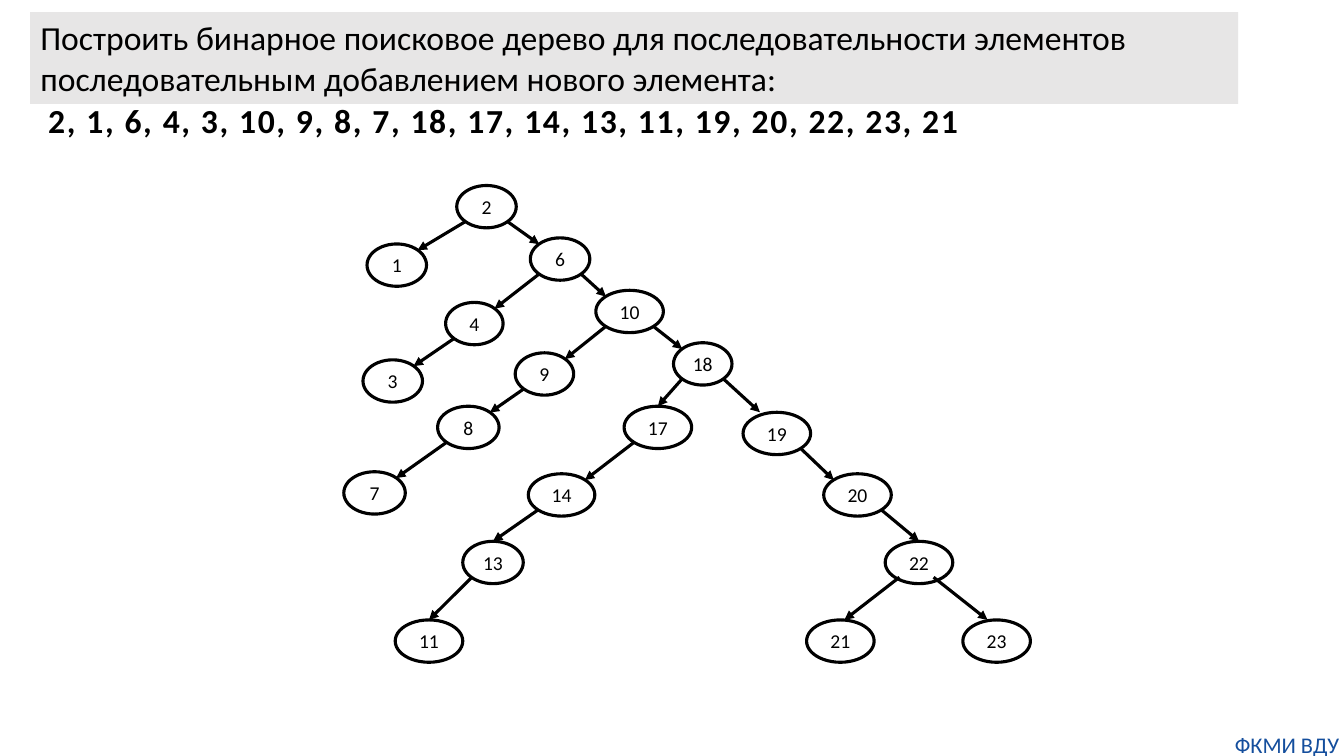
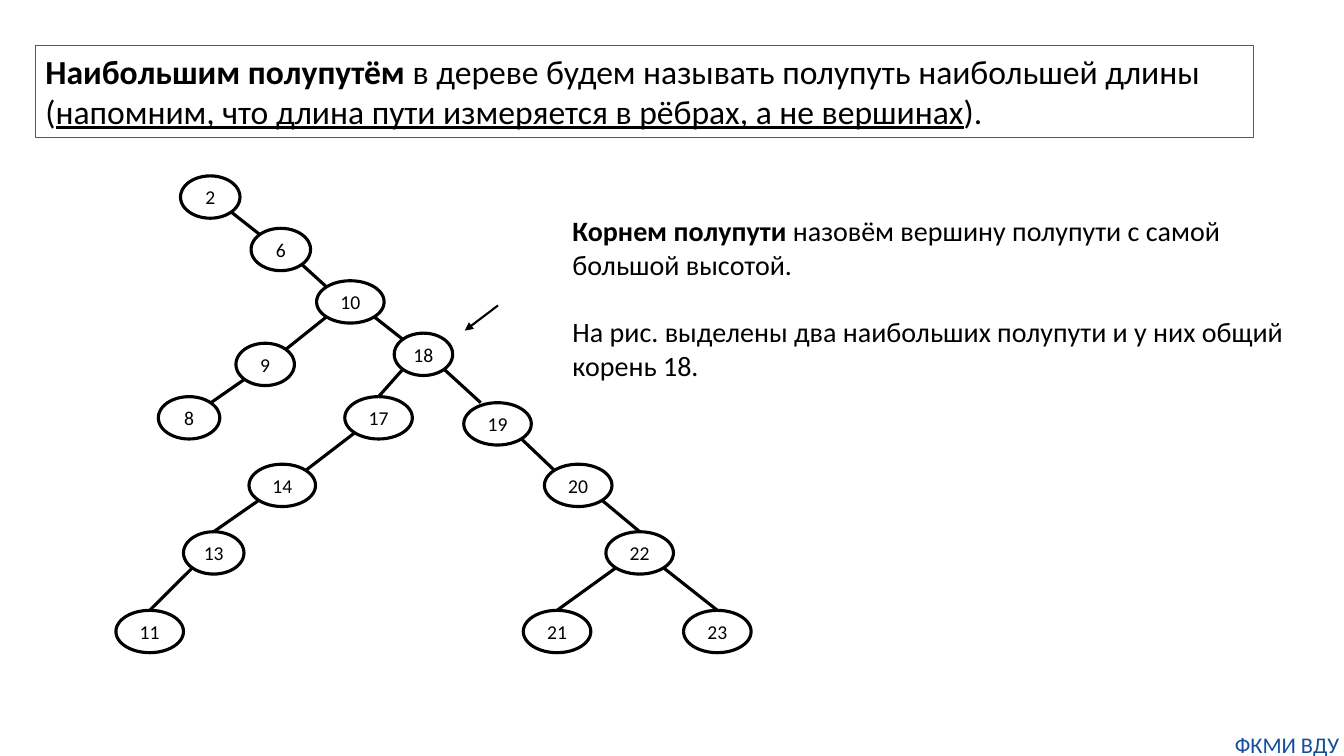
from lxml import etree
from pptx import Presentation
from pptx.dml.color import RGBColor
from pptx.enum.shapes import MSO_CONNECTOR, MSO_SHAPE
from pptx.enum.text import MSO_ANCHOR, MSO_AUTO_SIZE, PP_ALIGN
from pptx.oxml.ns import qn
from pptx.util import Inches, Pt

COLORS = {"ink": "000000", "band": "E7E6E6", "frame": "0070C0", "footer": "144E9D"}
FONT = "Calibri"
TITLE_ONLY = 5

deck = Presentation()
deck.slide_width, deck.slide_height = Inches(13.33), Inches(7.5)
CELL = deck.slide_height / 75  # the grid has 75 rows of square cells


def cells(*counts):
    return [round(count * CELL) for count in counts]


NODE_HEIGHT = 4.2
# Shares of a node's box where its incoming edge lands; "near" and "far" are
# measured from the side that faces the parent.
CORNER, TOP, QUARTER = (0.15, 0.15), (0.5, 0), (0.25, 0)

# key: (parent, left, top, width, landing), in order of insertion
TREE = {
    2: (None, 45.3, 18.4, 5.9, None),
    1: (2, 36.4, 24.2, 5.9, CORNER),
    6: (2, 52.6, 23.6, 5.9, CORNER),
    4: (6, 44.2, 30, 5.7, CORNER),
    3: (4, 36, 35.7, 5.9, CORNER),
    10: (6, 59.1, 28.8, 6.7, CORNER),
    9: (10, 51.1, 35, 5.8, CORNER),
    8: (9, 43.4, 40.3, 6.1, CORNER),
    7: (8, 34.1, 46.8, 6.1, CORNER),
    18: (10, 66.8, 34, 5.8, CORNER),
    17: (18, 61.9, 40.3, 6.7, TOP),
    14: (17, 52.4, 47, 6.6, CORNER),
    13: (14, 45.9, 53.7, 6, TOP),
    11: (13, 39.2, 61.5, 6.7, TOP),
    19: (18, 73.7, 40.9, 6.7, QUARTER),
    20: (19, 81.7, 47, 6.7, CORNER),
    22: (20, 87.8, 53.7, 6.7, TOP),
    23: (22, 95.5, 61.5, 6.7, TOP),
    21: (22, 80, 61.5, 6.7, TOP),
}

PAGES = [
    {
        "title": [("Построить бинарное поисковое дерево для последовательности элементов "
                   "последовательным добавлением нового элемента:", {})],
        "title_at": (3, 1.2, 119.8, 9.1), "fill": "band", "line": None,
        "shift": (0, 0), "skip": (), "arrows": True,
        "node_nudge": {}, "edge_nudge": {21: 0.4, 23: -0.9},
    },
    {
        "title": [("Наибольшим полупутём ", {"bold": True}),
                  ("в дереве будем называть полупуть наибольшей длины (", {}),
                  ("напомним, что длина пути измеряется в рёбрах, а не вершинах",
                   {"underline": True}),
                  (").", {})],
        "title_at": (3.5, 4.5, 120.8, 9.1), "fill": None, "line": "frame",
        "shift": (-27.7, -0.95), "skip": (1, 3, 4, 7), "arrows": False,
        "node_nudge": {2: 0.3, 21: -0.4}, "edge_nudge": {},
    },
]


def write(frame, paragraphs, size, color="ink", align=PP_ALIGN.LEFT, gap=0):
    """Fill a text frame with paragraphs given as lists of (text, font style)."""
    for number, spans in enumerate(paragraphs):
        para = frame.add_paragraph() if number else frame.paragraphs[0]
        para.alignment = align
        para.space_before = Pt(gap if number else 0)
        for text, style in spans:
            span = para.add_run()
            span.text = text
            span.font.name, span.font.size = FONT, Pt(size)
            span.font.color.rgb = RGBColor.from_string(COLORS[color])
            span.font.bold = style.get("bold", False)
            span.font.underline = style.get("underline", False)


def connect(page, start, end, width, arrow):
    edge = page.shapes.add_connector(MSO_CONNECTOR.STRAIGHT, *cells(*start, *end))
    edge.line.width = Pt(width)
    edge.line.color.rgb = RGBColor.from_string(COLORS["ink"])
    if arrow:
        etree.SubElement(edge.line._get_or_add_ln(), qn("a:tailEnd"), type="triangle")
    etree.SubElement(edge._element.spPr, qn("a:effectLst"))


for plan in PAGES:
    page = deck.slides.add_slide(deck.slide_layouts[TITLE_ONLY])

    title = page.shapes.title
    title.left, title.top, title.width, title.height = cells(*plan["title_at"])
    title.text_frame.auto_size = MSO_AUTO_SIZE.NONE
    title.text_frame.vertical_anchor = MSO_ANCHOR.TOP
    write(title.text_frame, [plan["title"]], 24)
    if plan["fill"]:
        title.fill.solid()
        title.fill.fore_color.rgb = RGBColor.from_string(COLORS[plan["fill"]])
    if plan["line"]:
        title.line.color.rgb = RGBColor.from_string(COLORS[plan["line"]])
        title.line.width = Pt(0.75)

    # Nodes
    places = {}
    for key, (parent, left, top, width, landing) in TREE.items():
        if key in plan["skip"]:
            continue
        left += plan["shift"][0] + plan["node_nudge"].get(key, 0)
        top += plan["shift"][1]
        places[key] = left, top, width
        node = page.shapes.add_shape(MSO_SHAPE.OVAL, *cells(left, top, width, NODE_HEIGHT))
        node.shadow.inherit = False
        node.fill.background()
        node.line.color.rgb = RGBColor.from_string(COLORS["ink"])
        node.line.width = Pt(2.25)
        frame = node.text_frame
        frame.word_wrap = False
        frame.vertical_anchor = MSO_ANCHOR.MIDDLE
        frame.margin_left = frame.margin_right = frame.margin_top = frame.margin_bottom = 0
        write(frame, [[(str(key), {})]], 14, align=PP_ALIGN.CENTER)

    # Edges: smaller keys hang on the left, larger ones on the right
    for key, (left, top, width) in places.items():
        parent, landing = TREE[key][0], TREE[key][4]
        if parent is None:
            continue
        parent_left, parent_top, parent_width = places[parent]
        is_right = key > parent
        exit_share = 0.85 if is_right else 0.15
        entry_share = landing[0] if is_right else 1 - landing[0]
        nudge = plan["edge_nudge"].get(key, 0)
        start = parent_left + exit_share * parent_width + nudge, parent_top + 0.85 * NODE_HEIGHT
        end = left + entry_share * width + nudge, top + landing[1] * NODE_HEIGHT
        connect(page, start, end, 2.25, plan["arrows"])

    footer = page.shapes.add_textbox(*cells(122, 72.5, 11.3, 2.7)).text_frame
    footer.margin_left = footer.margin_right = footer.margin_top = footer.margin_bottom = 0
    footer.word_wrap = True
    write(footer, [[("ФКМИ ВДУ", {})]], 16, "footer", PP_ALIGN.CENTER)

building, longest = deck.slides

sequence = building.shapes.add_textbox(*cells(3.8, 9.4, 93.1, 5)).text_frame
sequence.word_wrap = False
write(sequence, [[(", ".join(map(str, TREE)), {"bold": True})]], 24)
sequence.paragraphs[0].runs[0]._r.get_or_add_rPr().set("spc", "120")

root_note = longest.shapes.add_textbox(*cells(55.8, 20.7, 73, 17.8)).text_frame
root_note.word_wrap = True
write(root_note, [
    [("Корнем полупути ", {"bold": True}),
     ("назовём вершину полупути с самой большой высотой.", {})],
    [("На рис. выделены два наибольших полупути и у них общий корень 18.", {})],
], 20, gap=24)
connect(longest, (49.4, 30.3), (46.1, 32.8), 1.5, True)

deck.save("out.pptx")
